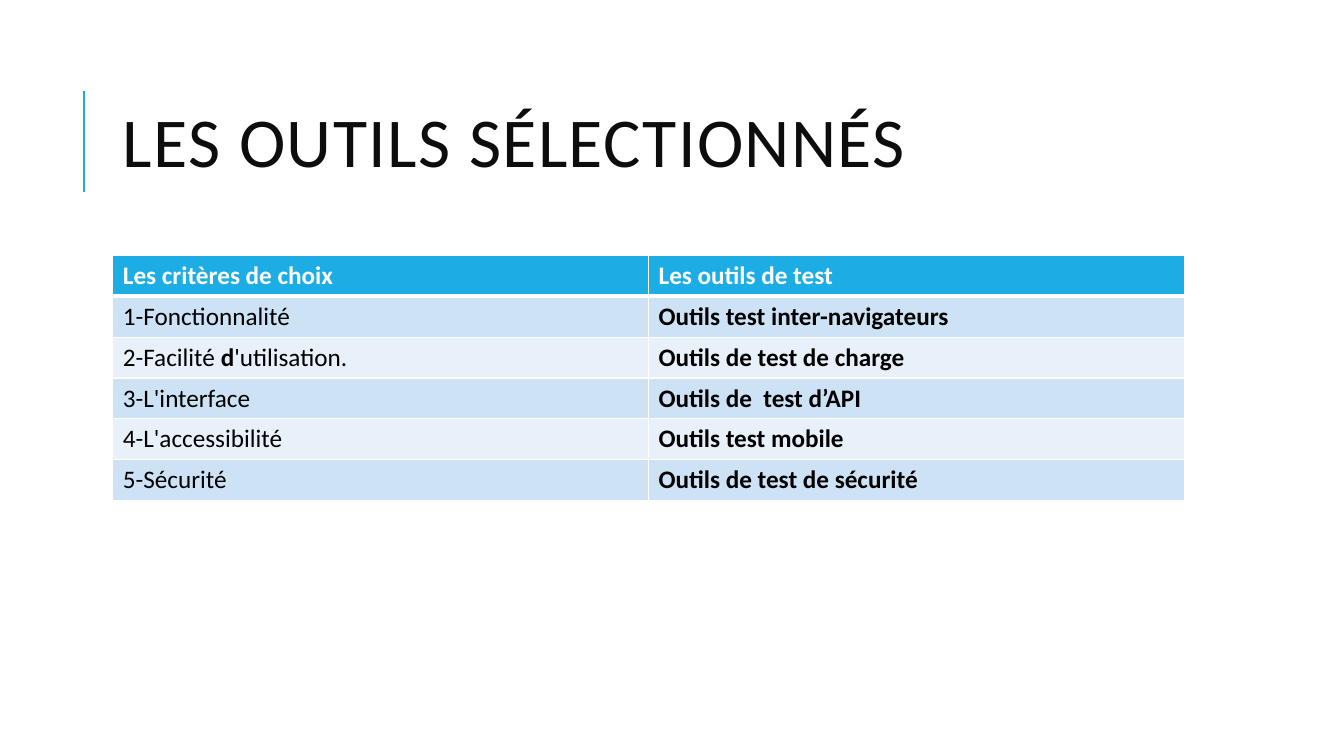
import pptx
import pptx.util
import pptx.dml.color
import pptx.enum.shapes
import pptx.enum.text
import pptx.oxml
import pptx.oxml.ns

Pt = pptx.util.Pt
RGB = pptx.dml.color.RGBColor
BLUE = RGB(0x1C, 0xAD, 0xE4)
DARK = RGB(0x0D, 0x0D, 0x0D)
BLACK = RGB(0, 0, 0)
WHITE = RGB(0xFF, 0xFF, 0xFF)
BANDS = [RGB(0xE8, 0xF1, 0xFA), RGB(0xCD, 0xE3, 0xF5)]

ROWS = [
    ("*Les critères de choix*", "*Les outils de test*"),
    ("1-Fonctionnalité", "*Outils test inter-navigateurs*"),
    ("2-Facilité *d*'utilisation.", "*Outils de test de charge*"),
    ("3-L'interface", "*Outils de  test d’API*"),
    ("4-L'accessibilité", "*Outils test mobile*"),
    ("5-Sécurité", "*Outils de test de sécurité*"),
]


def style(font, color, **form):
    """Set the font's colour and every given attribute."""
    font.color.rgb = color
    for key, value in {"name": "Calibri", **form}.items():
        setattr(font, key, value)


def write(para, text, color):
    """Write the text, with bold between asterisks."""
    for i, part in enumerate(text.split("*")):
        if part:
            run = para.add_run()
            run.text = part
            style(run.font, color, size=Pt(18), bold=i % 2 == 1)


def edge(cell, side, width):
    """Draw one white border of the cell."""
    space = pptx.oxml.ns.nsdecls("a")
    cell._tc.get_or_add_tcPr().append(pptx.oxml.parse_xml(
        f'<a:{side} {space} w="{Pt(width)}"><a:solidFill>'
        f'<a:srgbClr val="{WHITE}"/></a:solidFill></a:{side}>'))


def add_title(slide, left, top, width, height):
    """Place the heading and the rule at its left."""
    title = slide.shapes.title
    box = {"left": left, "top": top, "width": width, "height": height}
    for key, value in box.items():
        setattr(title, key, Pt(value))
    frame = title.text_frame
    form = {"text": "LES OUTILS SÉLECTIONNÉS", "word_wrap": True,
            "auto_size": pptx.enum.text.MSO_AUTO_SIZE.NONE,
            "vertical_anchor": pptx.enum.text.MSO_ANCHOR.MIDDLE}
    for key, value in form.items():
        setattr(frame, key, value)
    para = frame.paragraphs[0]
    para.alignment = pptx.enum.text.PP_ALIGN.LEFT
    para.line_spacing = 0.8
    font = para.runs[0].font
    style(font, DARK, size=Pt(50))
    font._element.set("spc", "100")

    x = Pt(left - 20.6)
    rule = slide.shapes.add_connector(
        pptx.enum.shapes.MSO_CONNECTOR.STRAIGHT,
        x, Pt(top + 90.8), x, Pt(top + 18.8))
    rule.line.color.rgb = BLUE
    rule.line.width = Pt(1.5)
    rule._element.spPr.append(pptx.oxml.parse_xml(
        f'<a:effectLst {pptx.oxml.ns.nsdecls("a")}/>'))


def add_grid(slide, left, top, width, height):
    """Place the table of criteria and tools."""
    grid = slide.shapes.add_table(
        len(ROWS), 2, Pt(left), Pt(top), Pt(width), Pt(height)).table
    for r, row in enumerate(ROWS):
        grid.rows[r].height = Pt(height / len(ROWS))
        for c, text in enumerate(row):
            cell = grid.cell(r, c)
            for side in ("lnL", "lnR", "lnT", "lnB"):
                thick = (r, side) in ((0, "lnB"), (1, "lnT"))
                edge(cell, side, 3 if thick else 1)
            cell.fill.solid()
            cell.fill.fore_color.rgb = BANDS[r % 2] if r else BLUE
            write(cell.text_frame.paragraphs[0], text, BLACK if r else WHITE)


def main():
    """Build and save the slide."""
    deck = pptx.Presentation()
    deck.slide_width, deck.slide_height = Pt(960), Pt(540)
    slide = deck.slides.add_slide(deck.slide_layouts[5])
    add_title(slide, 80.6, 46, 765.4, 118)
    add_grid(slide, 80.6, 182.4, 765.4, 175.2)
    deck.save("out.pptx")


if __name__ == "__main__":
    main()
